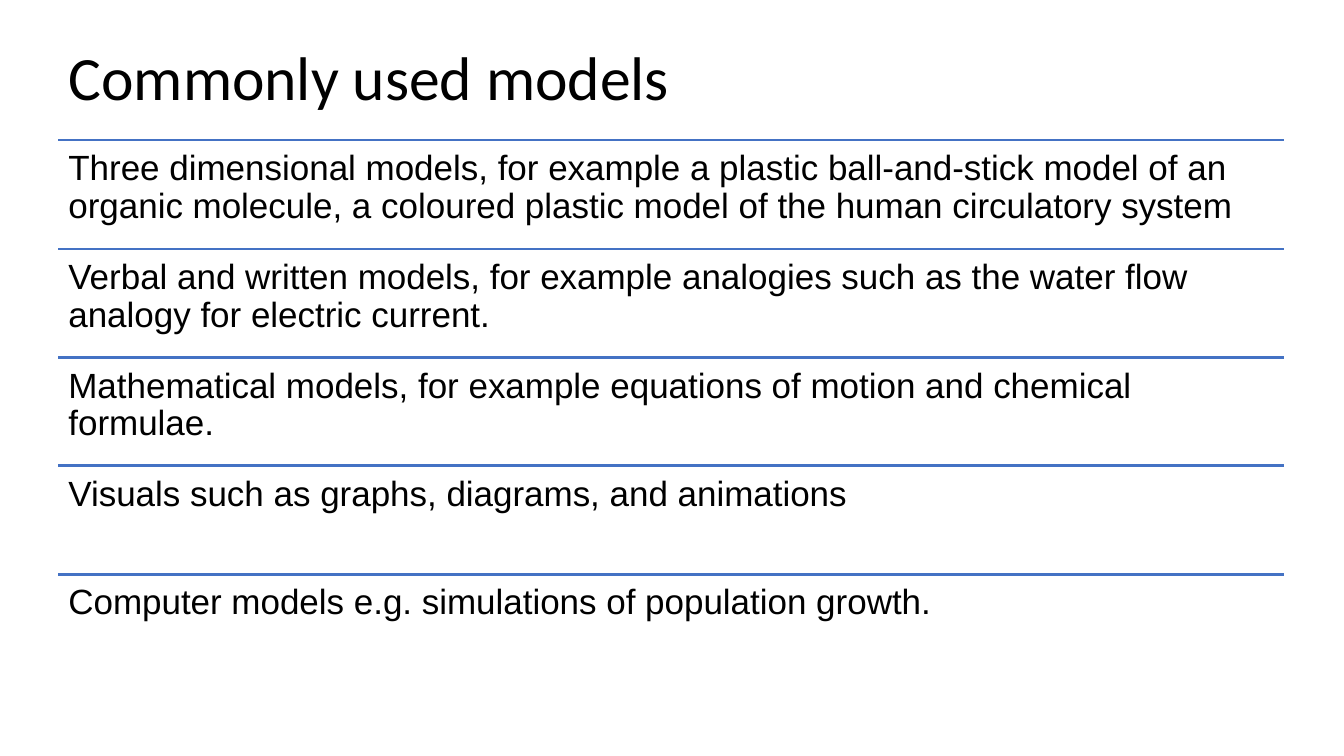
from pptx import Presentation
from pptx import util as u
from pptx.dml.color import RGBColor
from pptx.enum import shapes, text
from pptx.oxml.ns import qn
from lxml import etree


def color(code):
    return RGBColor.from_string(code)


def write(box, words, font="Arial", size=25, tone="000000", pad=0.1, anchor="TOP"):
    frame = box.text_frame
    frame.word_wrap = True
    frame.auto_size = text.MSO_AUTO_SIZE.NONE
    frame.vertical_anchor = text.MSO_ANCHOR[anchor]
    frame.margin_left = frame.margin_right = u.Inches(0.1)
    frame.margin_top = frame.margin_bottom = u.Inches(pad)
    para = frame.paragraphs[0]
    para.alignment = text.PP_ALIGN.LEFT
    para.line_spacing = 0.9
    run = para.add_run()
    run.text = words
    run.font.name = font
    run.font.size = u.Pt(size)
    run.font.color.rgb = color(tone)


deck = Presentation()
deck.slide_width = u.Inches(13.33)
deck.slide_height = u.Inches(7.5)
slide = deck.slides.add_slide(deck.slide_layouts[5])

left, width = u.Inches(0.58), u.Inches(12.16)

# Title
title = slide.shapes.title
title.left, title.top = left, u.Inches(0.36)
title.width, title.height = width, u.Inches(0.87)
write(title, "Commonly used models", font="Calibri", size=44, pad=0.05, anchor="MIDDLE")

# Models, each under a rule
models = [
    "Three dimensional models, for example a plastic ball-and-stick model of an "
    "organic molecule, a coloured plastic model of the human circulatory system",
    "Verbal and written models, for example analogies such as the water flow "
    "analogy for electric current.",
    "Mathematical models, for example equations of motion and chemical formulae.",
    "Visuals such as graphs, diagrams, and animations",
    "Computer models e.g. simulations of population growth.",
]
start, step = 1.39, 1.078
for row, model in enumerate(models):
    top = u.Inches(round(start + row * step, 2))
    rule = slide.shapes.add_connector(
        shapes.MSO_CONNECTOR.STRAIGHT, left, top, left + width, top)
    rule.line.color.rgb = color("4472C4")
    rule.line.width = u.Pt(2)
    etree.SubElement(rule._element.spPr, qn("a:effectLst"))
    box = slide.shapes.add_textbox(left, top, width, u.Inches(1.08))
    write(box, model)

deck.save("out.pptx")
